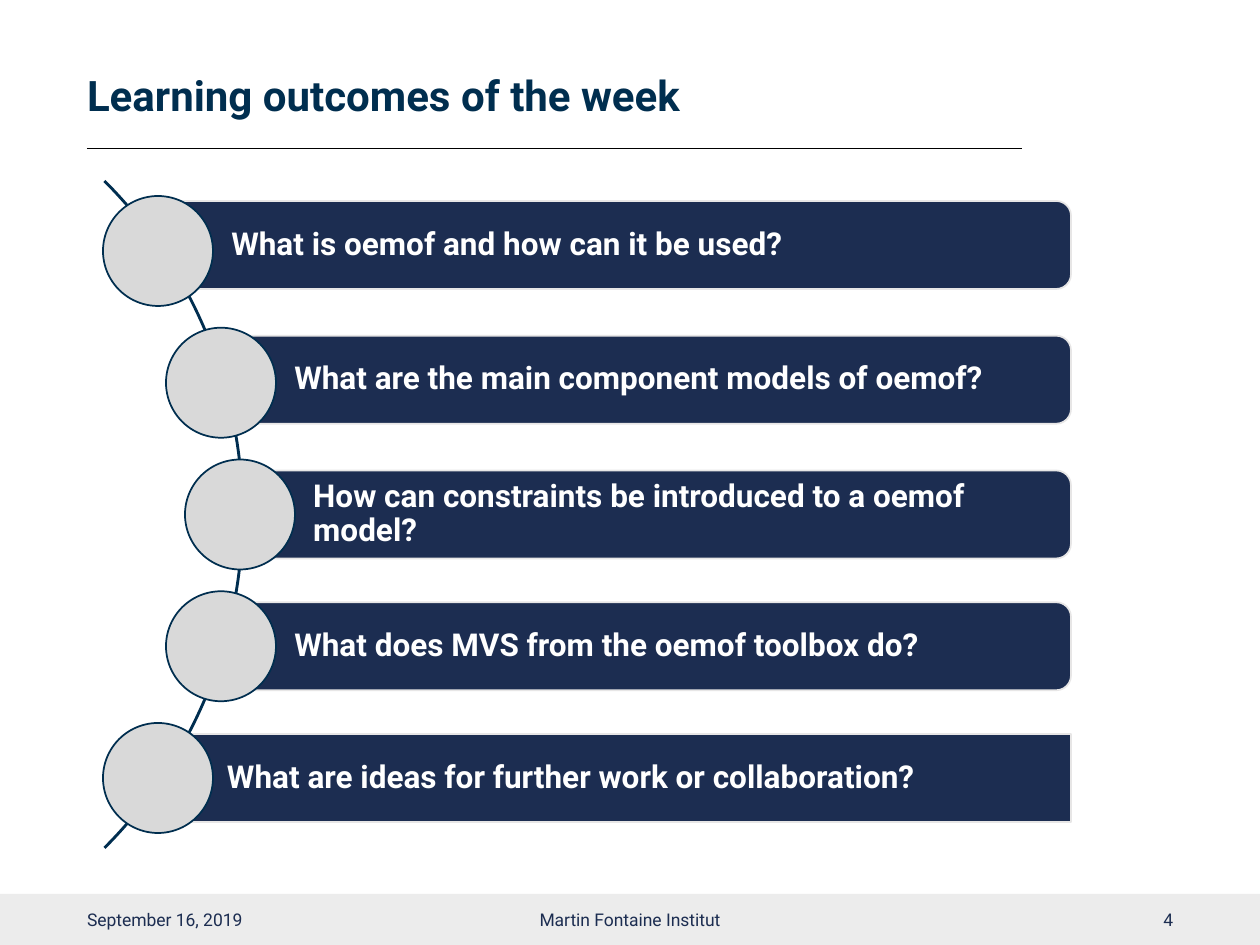
import pptx
import pptx.dml.color
import pptx.enum.shapes
import pptx.enum.text
import pptx.oxml.ns
import pptx.oxml.xmlchemy
import pptx.util

SHAPES = pptx.enum.shapes.MSO_SHAPE
ALIGN = pptx.enum.text.PP_ALIGN
SCALE = 914400 / 126
COLORS = {
    "title": "002E4F",
    "arc": "002E50",
    "bar": "1C2D51",
    "bar_edge": "E7E6E6",
    "circle": "D9D9D9",
    "footer": "ECECEC",
    "white": "FFFFFF",
    "rule": "000000",
}
OUTCOMES = [
    ("What is oemof and how can it be used?", 0, 5, SHAPES.ROUNDED_RECTANGLE),
    ("What are the main component models of oemof?", 63, 8, SHAPES.ROUNDED_RECTANGLE),
    ("How can constraints be introduced to a oemof model?", 82, 11, SHAPES.ROUNDED_RECTANGLE),
    ("What does MVS from the oemof toolbox do?", 63, 11, SHAPES.ROUNDED_RECTANGLE),
    ("What are ideas for further work or collaboration?", 0, 11, SHAPES.RECTANGLE),
]


def px(length):
    return round(length * SCALE)


def color(name):
    return pptx.dml.color.RGBColor.from_string(COLORS[name])


def apply(target, values):
    for name, value in values.items():
        setattr(target, name, value)


def add_shape(page, kind, box, fill, edge=None):
    shape = page.shapes.add_shape(kind, *map(px, box))
    shape.shadow.inherit = False
    shape.fill.solid()
    shape.fill.fore_color.rgb = color(fill)
    if edge:
        shape.line.color.rgb = color(edge)
        shape.line.width = pptx.util.Pt(1)
    else:
        shape.line.fill.background()
    return shape


def write(shape, text, size, ink, insets, bold=False, align=ALIGN.LEFT, spacing=1.0):
    left, right = insets
    frame = shape.text_frame
    apply(frame, {
        "word_wrap": True,
        "vertical_anchor": pptx.enum.text.MSO_ANCHOR.MIDDLE,
        "margin_left": px(left),
        "margin_right": px(right),
        "margin_top": px(6),
        "margin_bottom": px(6),
    })
    para = frame.paragraphs[0]
    apply(para, {"alignment": align, "line_spacing": spacing})
    span = para.add_run()
    span.text = text
    apply(span.font, {"name": "Roboto", "size": pptx.util.Pt(size), "bold": bold})
    span.font.color.rgb = color(ink)


def add_header(page, box):
    left, top, width, height = box
    title = page.shapes.add_textbox(*map(px, box))
    write(title, "Learning outcomes of the week", 24, "title", (0, 13), bold=True, spacing=0.9)
    rule_top = top + height + 2
    rule = page.shapes.add_connector(
        pptx.enum.shapes.MSO_CONNECTOR.STRAIGHT,
        *map(px, (left, rule_top, left + 935, rule_top)))
    rule.line.color.rgb = color("rule")
    rule.line.width = pptx.util.Pt(0.5)
    properties = rule.element.find(pptx.oxml.ns.qn("p:spPr"))
    properties.append(pptx.oxml.xmlchemy.OxmlElement("a:effectLst"))


def add_outcomes(page, box):
    left, top, width, height = box
    diameter, bar_height, arc_size = 110, 88, 946
    step = (height - diameter) / (len(OUTCOMES) - 1)

    arc_box = (left + 141 - arc_size, top + (height - arc_size) / 2, arc_size, arc_size)
    arc = add_shape(page, SHAPES.BLOCK_ARC, arc_box, "arc")
    for index, value in enumerate((189, 27, 0.003)):
        arc.adjustments[index] = value

    for index, (text, indent, drop, kind) in enumerate(OUTCOMES):
        circle_left = left + indent
        circle_top = top + index * step
        bar_left = circle_left + diameter / 2
        bar_box = (bar_left, circle_top + drop, left + width - bar_left, bar_height)
        bar = add_shape(page, kind, bar_box, "bar", "bar_edge")
        write(bar, text, 18, "white", (69, 6), bold=True, spacing=0.9)
        circle_box = (circle_left, circle_top, diameter, diameter)
        add_shape(page, SHAPES.OVAL, circle_box, "circle", "title")


def add_footer(page, box):
    left, top, width, height = box
    add_shape(page, SHAPES.RECTANGLE, box, "footer")
    entries = [
        ("September 16, 2019", 87, 284, (0, 13), ALIGN.LEFT),
        ("Martin Fontaine Institut", 417, 426, (13, 13), ALIGN.CENTER),
        ("4", 889, 284, (0, 0), ALIGN.RIGHT),
    ]
    for text, offset, entry_width, insets, align in entries:
        entry_box = (left + offset, top, entry_width, height)
        entry = page.shapes.add_textbox(*map(px, entry_box))
        write(entry, text, 10, "bar", insets, align=align)


def main():
    deck = pptx.Presentation()
    apply(deck, {"slide_width": px(1260), "slide_height": px(945)})
    page = deck.slides.add_slide(deck.slide_layouts[6])
    add_header(page, (87, 50, 1089, 96))
    add_outcomes(page, (103, 196, 968, 637))
    add_footer(page, (0, 894, 1260, 51))
    deck.save("out.pptx")


if __name__ == "__main__":
    main()
